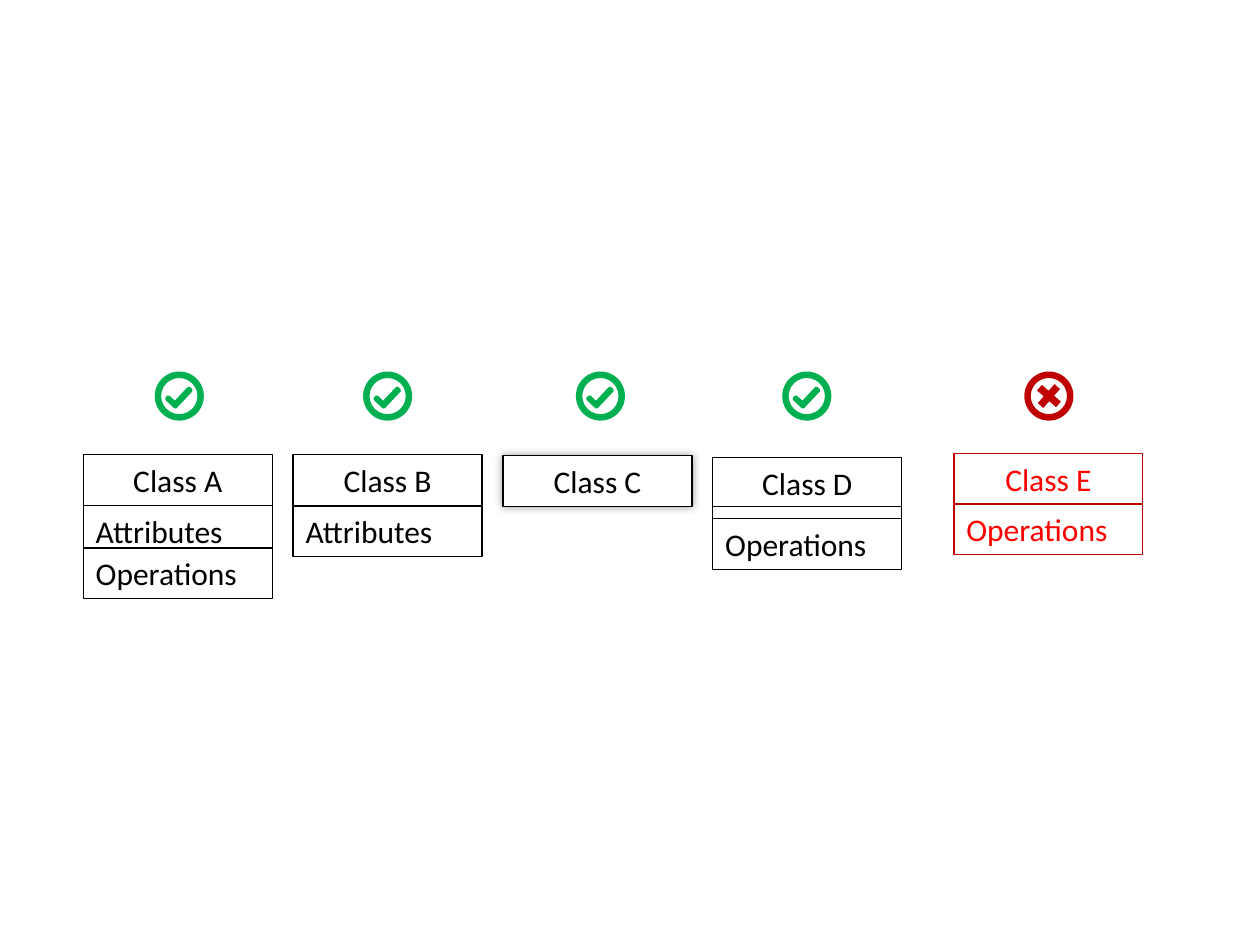
from dataclasses import dataclass

from lxml.etree import SubElement
from pptx import Presentation
from pptx.dml.color import RGBColor
from pptx.enum.shapes import MSO_SHAPE as Preset
from pptx.enum.text import MSO_ANCHOR as Anchor, MSO_AUTO_SIZE as AutoSize, PP_ALIGN as Align
from pptx.oxml.ns import qn
from pptx.shapes.autoshape import Shape
from pptx.shapes.shapetree import GroupShapes
from pptx.util import Cm, Pt

BLACK = RGBColor(0x00, 0x00, 0x00)
WHITE = RGBColor(0xFF, 0xFF, 0xFF)
GREEN = RGBColor(0x00, 0xB0, 0x50)
DARK_RED = RGBColor(0xC0, 0x00, 0x00)
RED = RGBColor(0xFF, 0x00, 0x00)

FIRST_LEFT, CLASS_PITCH = 1.68, 4.23
CLASS_WIDTH, ROW_HEIGHT = 3.81, 1.02
ICON_TOP, ICON_SIZE = 7.49, 0.99
TICK_POINTS = [
    (18, 3), (21, 0), (28, 0), (31, 3), (31, 50), (28, 53),
    (3, 53), (0, 50), (0, 44), (3, 41), (18, 41),
]


@dataclass(frozen=True)
class Compartment:
    text: str
    top: float


@dataclass(frozen=True)
class ClassDiagram:
    left: float
    icon_left: float
    compartments: tuple[Compartment, ...]
    valid: bool = True
    shadowed: bool = False


def class_left(column: int) -> float:
    return FIRST_LEFT + column * CLASS_PITCH


DIAGRAMS = [
    ClassDiagram(class_left(0), 3.12, (
        Compartment("Class A", 9.17),
        Compartment("Attributes", 10.19),
        Compartment("Operations", 11.05),
    )),
    ClassDiagram(class_left(1), 7.32, (
        Compartment("Class B", 9.17),
        Compartment("Attributes", 10.2),
    )),
    ClassDiagram(class_left(2), 11.61, (Compartment("Class C", 9.19),), shadowed=True),
    ClassDiagram(class_left(3), 15.77, (
        Compartment("Class D", 9.22),
        Compartment("", 10.21),
        Compartment("Operations", 10.46),
    )),
    ClassDiagram(19.23, 20.65, (
        Compartment("Class E", 9.14),
        Compartment("Operations", 10.16),
    ), valid=False),
]


def paint(shape: Shape, color: RGBColor) -> None:
    shape.shadow.inherit = False
    shape.fill.solid()
    shape.fill.fore_color.rgb = color
    shape.line.fill.background()


def add_glow_shadow(shape: Shape) -> None:
    effects = shape._element.spPr.find(qn("a:effectLst"))
    shadow = SubElement(effects, qn("a:outerShdw"), blurRad=str(Pt(5)), dist="0", dir="0")
    color = SubElement(shadow, qn("a:srgbClr"), val=str(BLACK))
    SubElement(color, qn("a:alpha"), val="40000")


def draw_compartment(shapes: GroupShapes, diagram: ClassDiagram, row: int) -> None:
    compartment = diagram.compartments[row]
    box = shapes.add_shape(
        Preset.RECTANGLE, Cm(diagram.left), Cm(compartment.top), Cm(CLASS_WIDTH), Cm(ROW_HEIGHT)
    )
    paint(box, WHITE)
    box.line.color.rgb = BLACK if diagram.valid else DARK_RED
    box.line.width = Pt(0.75)
    if diagram.shadowed:
        add_glow_shadow(box)
    if not compartment.text:
        return
    frame = box.text_frame
    frame.text = compartment.text
    frame.word_wrap = True
    frame.auto_size = AutoSize.SHAPE_TO_FIT_TEXT
    frame.vertical_anchor = Anchor.MIDDLE
    para = frame.paragraphs[0]
    para.alignment = Align.CENTER if row == 0 else Align.LEFT
    font = para.runs[0].font
    font.name = "Calibri"
    font.size = Pt(18)
    font.color.rgb = BLACK if diagram.valid else RED


def draw_icon(shapes: GroupShapes, left: float, valid: bool) -> None:
    color = GREEN if valid else DARK_RED
    place = Cm(left), Cm(ICON_TOP), Cm(ICON_SIZE), Cm(ICON_SIZE)
    paint(shapes.add_shape(Preset.FLOWCHART_CONNECTOR, *place), WHITE)
    ring = shapes.add_shape(Preset.DONUT, *place)
    ring.adjustments[0] = 0.131
    paint(ring, color)
    if valid:
        outline = shapes.build_freeform(*TICK_POINTS[0], scale=Cm(0.01))
        outline.add_line_segments(TICK_POINTS[1:], close=True)
        mark = outline.convert_to_shape(Cm(left + 0.33), Cm(ICON_TOP + 0.2))
        mark.rotation = 43.1
    else:
        mark = shapes.add_shape(
            Preset.CROSS, Cm(left + 0.24), Cm(ICON_TOP + 0.24), Cm(0.51), Cm(0.51)
        )
        mark.adjustments[0] = 0.354
        mark.rotation = 41.5
    paint(mark, color)


def main() -> None:
    deck = Presentation()
    deck.slide_width, deck.slide_height = Cm(25.4), Cm(19.05)
    page = deck.slides.add_slide(deck.slide_layouts[6])
    for diagram in DIAGRAMS:
        grouped = len(diagram.compartments) > 1
        shapes = page.shapes.add_group_shape().shapes if grouped else page.shapes
        for row in range(len(diagram.compartments)):
            draw_compartment(shapes, diagram, row)
        draw_icon(page.shapes.add_group_shape().shapes, diagram.icon_left, diagram.valid)
    deck.save("out.pptx")


if __name__ == "__main__":
    main()
